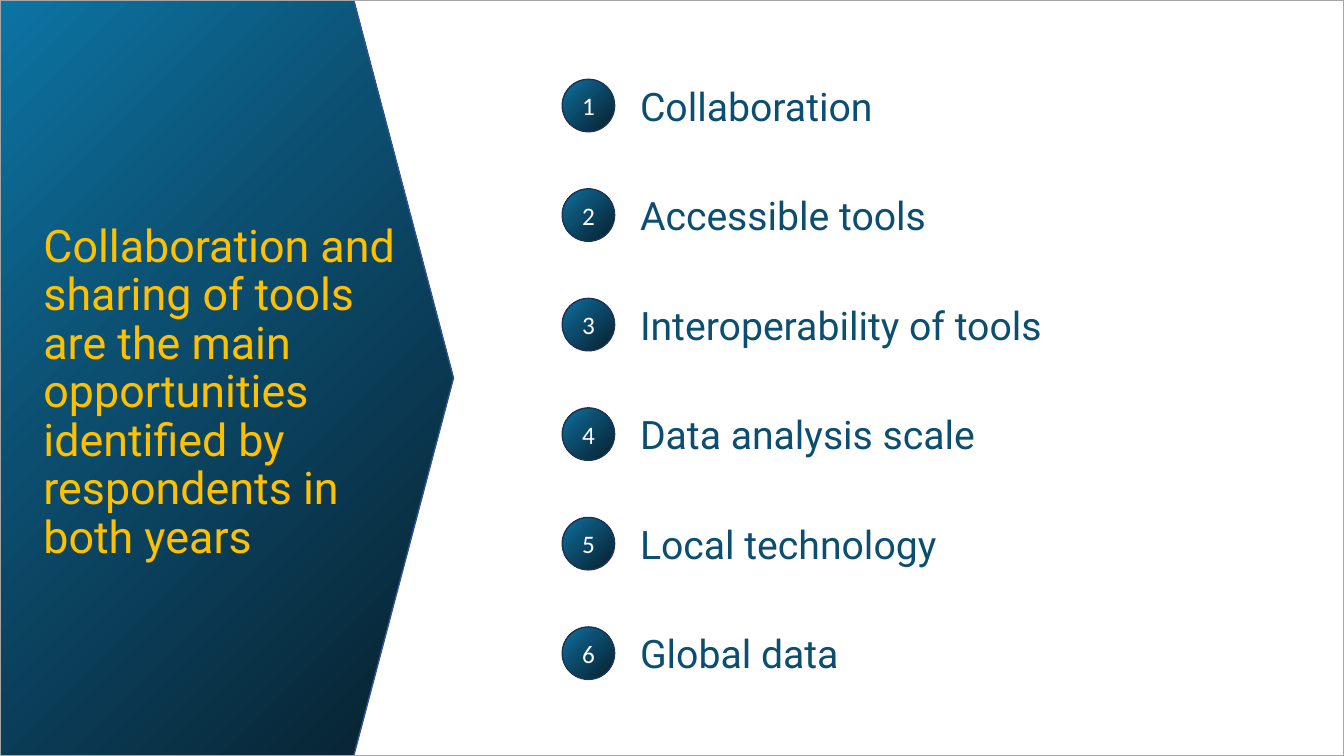
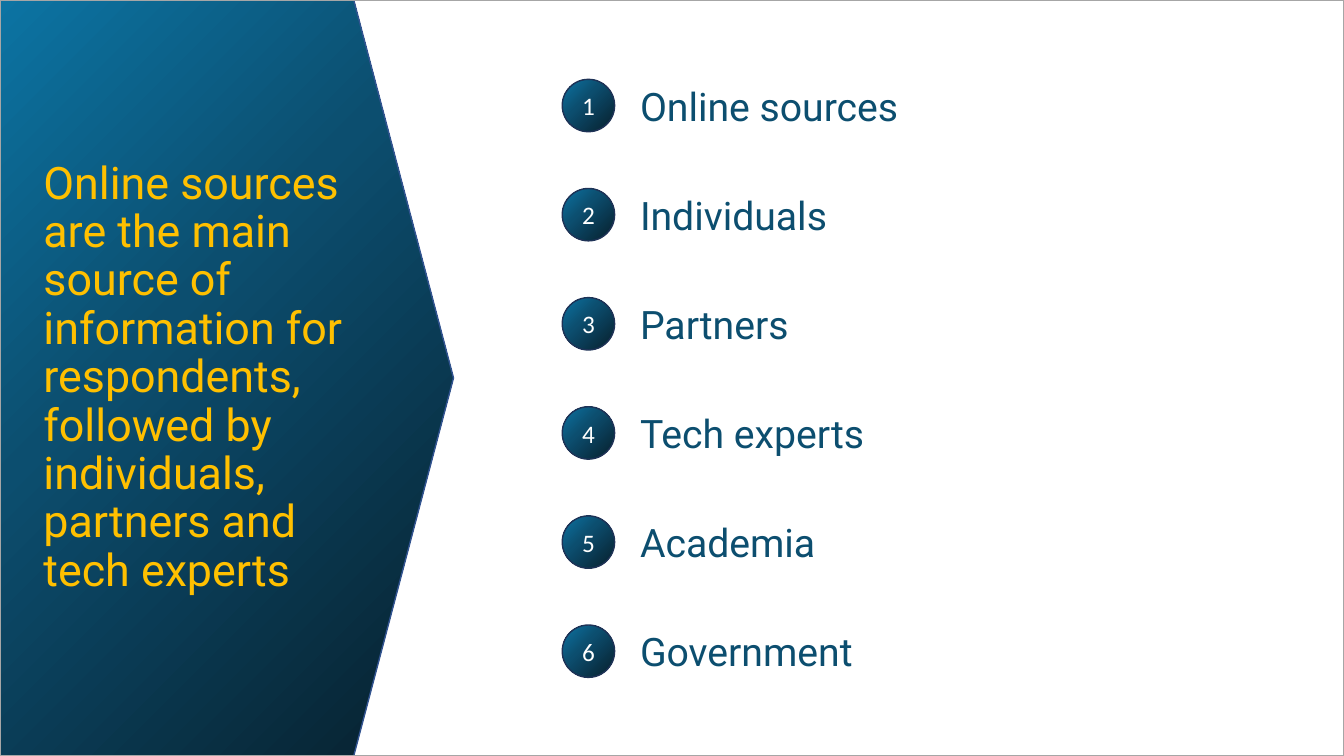
from dataclasses import dataclass

from pptx import Presentation
from pptx.dml.color import RGBColor
from pptx.enum.shapes import MSO_SHAPE as SHAPE
from pptx.enum.text import MSO_ANCHOR as ANCHOR, MSO_AUTO_SIZE as AUTO, PP_ALIGN as ALIGN
from pptx.oxml import parse_xml
from pptx.oxml.ns import nsdecls, qn
from pptx.util import Cm, Pt


@dataclass(frozen=True)
class Theme:
    heading_font: str = "Roboto"
    number_font: str = "Calibri"
    title_size: int = 32
    label_size: int = 28
    number_size: int = 18
    title: str = "FFC000"
    label: str = "0C4E6F"
    number: str = "FFFFFF"
    panel_line: str = "325491"
    badge_line: str = "1E3256"
    frame_line: str = "A6A6A6"
    gradient: tuple = ((0, "0C74A3"), (40, "0C4E6F"), (100, "071F2C"))


class Deck:
    WIDTH, HEIGHT = 33.87, 19.05
    PANEL_WIDTH = 11.43
    TITLE_LEFT, TITLE_HEIGHT = 0.84, 13
    BADGE_LEFT, BADGE_SIZE = 14.17, 1.32
    LABEL_LEFT, LABEL_WIDTH, LABEL_HEIGHT = 15.88, 16.56, 1.45
    FIRST_ROW = 2.66

    def __init__(self, theme):
        self.theme = theme
        self.prs = Presentation()
        self.prs.slide_width, self.prs.slide_height = Cm(self.WIDTH), Cm(self.HEIGHT)
        self.layout = self.prs.slide_layouts.get_by_name("Title Only")
        self.slide = None

    def new_slide(self):
        first = self.slide is None
        self.slide = self.prs.slides.add_slide(self.layout)
        if first:
            self.move_panel_to_layout()

    def move_panel_to_layout(self):
        panel = self.shape(self.slide.shapes, SHAPE.PENTAGON, 0, 0, self.PANEL_WIDTH,
                           self.HEIGHT, self.theme.panel_line)
        panel.adjustments[0] = 0.22
        self.fill_gradient(panel)
        self.layout.shapes._spTree.insert(2, panel._element)

    def shape(self, shapes, preset, left, top, width, height, line):
        sp = shapes.add_shape(preset, Cm(left), Cm(top), Cm(width), Cm(height))
        sp.shadow.inherit = False
        sp.line.color.rgb = RGBColor.from_string(line)
        sp.line.width = Pt(1)
        return sp

    def fill_gradient(self, sp):
        stops = "".join(
            f'<a:gs pos="{pos * 1000}"><a:srgbClr val="{color}"/></a:gs>'
            for pos, color in self.theme.gradient)
        gradient = parse_xml(
            f'<a:gradFill {nsdecls("a")} rotWithShape="1"><a:gsLst>{stops}</a:gsLst>'
            '<a:path path="circle"><a:fillToRect r="100000" b="100000"/></a:path>'
            '<a:tileRect l="-100000" t="-100000"/></a:gradFill>')
        sp.fill.gradient()
        spPr = sp._element.spPr
        spPr.replace(spPr.find(qn("a:gradFill")), gradient)

    def set_text(self, sp, text, font, size, color, align=ALIGN.LEFT):
        tf = sp.text_frame
        tf.text = text
        tf.word_wrap = True
        tf.vertical_anchor = ANCHOR.MIDDLE
        p = tf.paragraphs[0]
        p.alignment = align
        r = p.runs[0]
        r.font.name, r.font.size = font, Pt(size)
        r.font.color.rgb = RGBColor.from_string(color)
        return p

    def title(self, text, width, middle):
        t = self.theme
        sp = self.slide.shapes.title
        sp.left, sp.top = Cm(self.TITLE_LEFT), Cm(middle - self.TITLE_HEIGHT / 2)
        sp.width, sp.height = Cm(width), Cm(self.TITLE_HEIGHT)
        p = self.set_text(sp, text, t.heading_font, t.title_size, t.title)
        p.line_spacing = 0.9
        sp.text_frame.auto_size = AUTO.NONE

    def row(self, number, text, middle):
        t = self.theme
        shapes = self.slide.shapes.add_group_shape().shapes
        badge = self.shape(shapes, SHAPE.OVAL, self.BADGE_LEFT, middle - self.BADGE_SIZE / 2,
                           self.BADGE_SIZE, self.BADGE_SIZE, t.badge_line)
        self.fill_gradient(badge)
        self.set_text(badge, str(number), t.number_font, t.number_size, t.number, ALIGN.CENTER)
        label = shapes.add_textbox(Cm(self.LABEL_LEFT), Cm(middle - self.LABEL_HEIGHT / 2),
                                   Cm(self.LABEL_WIDTH), Cm(self.LABEL_HEIGHT))
        self.set_text(label, text, t.heading_font, t.label_size, t.label)

    def numbered_list(self, items, pitch):
        for i, text in enumerate(items):
            self.row(i + 1, text, self.FIRST_ROW + i * pitch)

    def frame(self):
        sp = self.shape(self.slide.shapes, SHAPE.RECTANGLE, 0, 0, self.WIDTH, self.HEIGHT,
                        self.theme.frame_line)
        sp.fill.background()

    def ranking(self, title, width, middle, items, pitch):
        self.new_slide()
        self.title(title, width, middle)
        self.numbered_list(items, pitch)
        self.frame()


def main():
    deck = Deck(Theme())
    deck.ranking(
        "Collaboration and sharing of tools are the main opportunities identified by "
        "respondents in both years", 9.5, 9.91,
        ["Collaboration", "Accessible tools", "Interoperability of tools",
         "Data analysis scale", "Local technology", "Global data"], 2.76)
    deck.ranking(
        "Online sources are the main source of information for respondents, followed by "
        "individuals, partners and tech experts", 8.46, 9.53,
        ["Online sources", "Individuals", "Partners", "Tech experts", "Academia",
         "Government"], 2.75)
    deck.prs.save("out.pptx")


if __name__ == "__main__":
    main()
